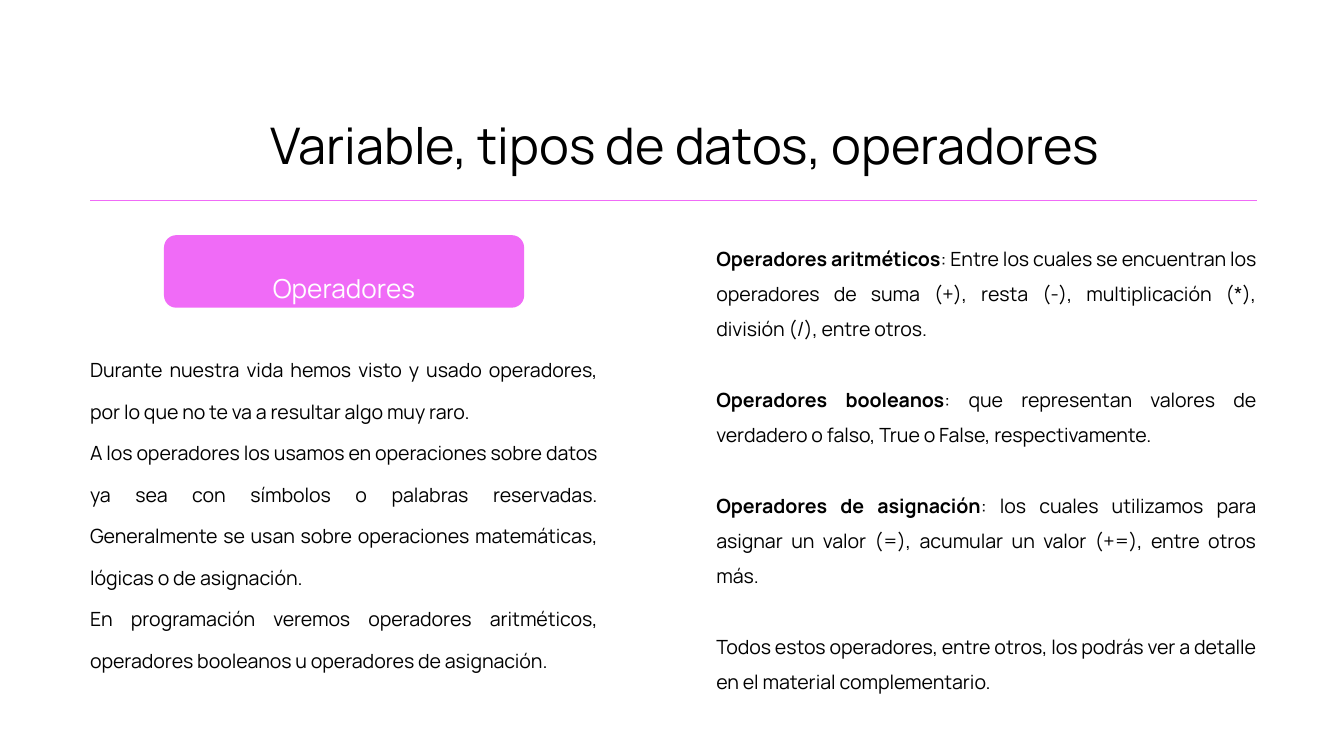
"""Build the slide about operators with python-pptx."""
import pptx
import pptx.dml.color
import pptx.enum.shapes
import pptx.enum.text
import pptx.oxml.xmlchemy
import pptx.util

PINK = pptx.dml.color.RGBColor(0xF0, 0x6B, 0xF7)
BLACK = pptx.dml.color.RGBColor(0, 0, 0)
WHITE = pptx.dml.color.RGBColor(0xFF, 0xFF, 0xFF)
FONT = "Manrope"
CENTER = pptx.enum.text.PP_ALIGN.CENTER
JUSTIFY = pptx.enum.text.PP_ALIGN.JUSTIFY

WIDTH = 10
HEIGHT = WIDTH * 9 / 16
LEFT, RIGHT = 0.67, 9.35
COLUMN = 5.33
BODY_TOP = 1.75
RULE_Y = 1.49
BADGE_LEFT, BADGE_WIDTH, BADGE_HEIGHT = 1.22, 2.68, 0.54

TITLE = [[("Variable, tipos de datos, operadores", False)]]
BADGE = [[("Operadores", False)]]
INTRO = [
    [("Durante nuestra vida hemos visto y usado operadores, por lo que no te va a "
      "resultar algo muy raro.", False)],
    [("A los operadores los usamos en operaciones sobre datos ya sea con símbolos o "
      "palabras reservadas. Generalmente se usan sobre operaciones matemáticas, "
      "lógicas o de asignación.", False)],
    [("En programación veremos operadores aritméticos, operadores booleanos u "
      "operadores de asignación.", False)],
]
KINDS = [
    [("Operadores aritméticos", True),
     (": Entre los cuales se encuentran los operadores de suma (+), resta (-), "
      "multiplicación (*), división (/), entre otros.", False)],
    [("Operadores booleanos", True),
     (": que representan valores de verdadero o falso, True o False, "
      "respectivamente.", False)],
    [("Operadores de asignación", True),
     (": los cuales utilizamos para asignar un valor (=), acumular un valor (+=), "
      "entre otros más.", False)],
    [("Todos estos operadores, entre otros, los podrás ver a detalle en el material "
      "complementario.", False)],
]

TEXTS = [
    dict(box=(LEFT, 2.53, 3.78, 2.86), content=INTRO, size=10.5, color=BLACK,
         align=JUSTIFY, spacing=1.77, gap=0),
    dict(box=(BADGE_LEFT, 1.9, BADGE_WIDTH, 0.24), content=BADGE, size=14, color=WHITE,
         align=CENTER, spacing=1.55, gap=0),
    dict(box=(0.6, 0.83, 8.99, 0.45), content=TITLE, size=27, color=BLACK,
         align=CENTER, spacing=1.04, gap=0),
    dict(box=(COLUMN, BODY_TOP, RIGHT - COLUMN, 3.57), content=KINDS, size=10.5,
         color=BLACK, align=JUSTIFY, spacing=1.5, gap=18.9),
]


def inches(*values):
    return [pptx.util.Inches(v) for v in values]


def set_all(obj, values):
    for name, value in values.items():
        setattr(obj, name, value)


def add_text(s, box, content, size, color, align, spacing, gap):
    tf = s.shapes.add_textbox(*inches(*box)).text_frame
    set_all(tf, dict(word_wrap=True, margin_left=0, margin_top=0,
                     margin_right=0, margin_bottom=0))
    for i, runs in enumerate(content):
        p = tf.add_paragraph() if i else tf.paragraphs[0]
        set_all(p, dict(alignment=align, line_spacing=spacing))
        if i:
            p.space_before = pptx.util.Pt(gap)
        for text, bold in runs:
            r = p.add_run()
            r.text = text
            set_all(r.font, dict(name=FONT, size=pptx.util.Pt(size), bold=bold))
            r.font.color.rgb = color


def main():
    prs = pptx.Presentation()
    prs.slide_width, prs.slide_height = inches(WIDTH, HEIGHT)
    s = prs.slides.add_slide(prs.slide_layouts[6])

    sp = s.shapes.add_shape(pptx.enum.shapes.MSO_SHAPE.ROUNDED_RECTANGLE,
                            *inches(BADGE_LEFT, BODY_TOP, BADGE_WIDTH, BADGE_HEIGHT))
    sp.shadow.inherit = False
    sp.adjustments[0] = 0.17
    sp.fill.solid()
    sp.fill.fore_color.rgb = PINK
    sp.line.fill.background()

    for text in TEXTS:
        add_text(s, **text)

    rule = s.shapes.add_connector(pptx.enum.shapes.MSO_CONNECTOR.STRAIGHT,
                                  *inches(LEFT, RULE_Y, RIGHT, RULE_Y))
    rule.line.color.rgb = PINK
    rule.line.width = pptx.util.Pt(0.75)
    rule._element.spPr.append(pptx.oxml.xmlchemy.OxmlElement("a:effectLst"))

    prs.save("out.pptx")


if __name__ == "__main__":
    main()
